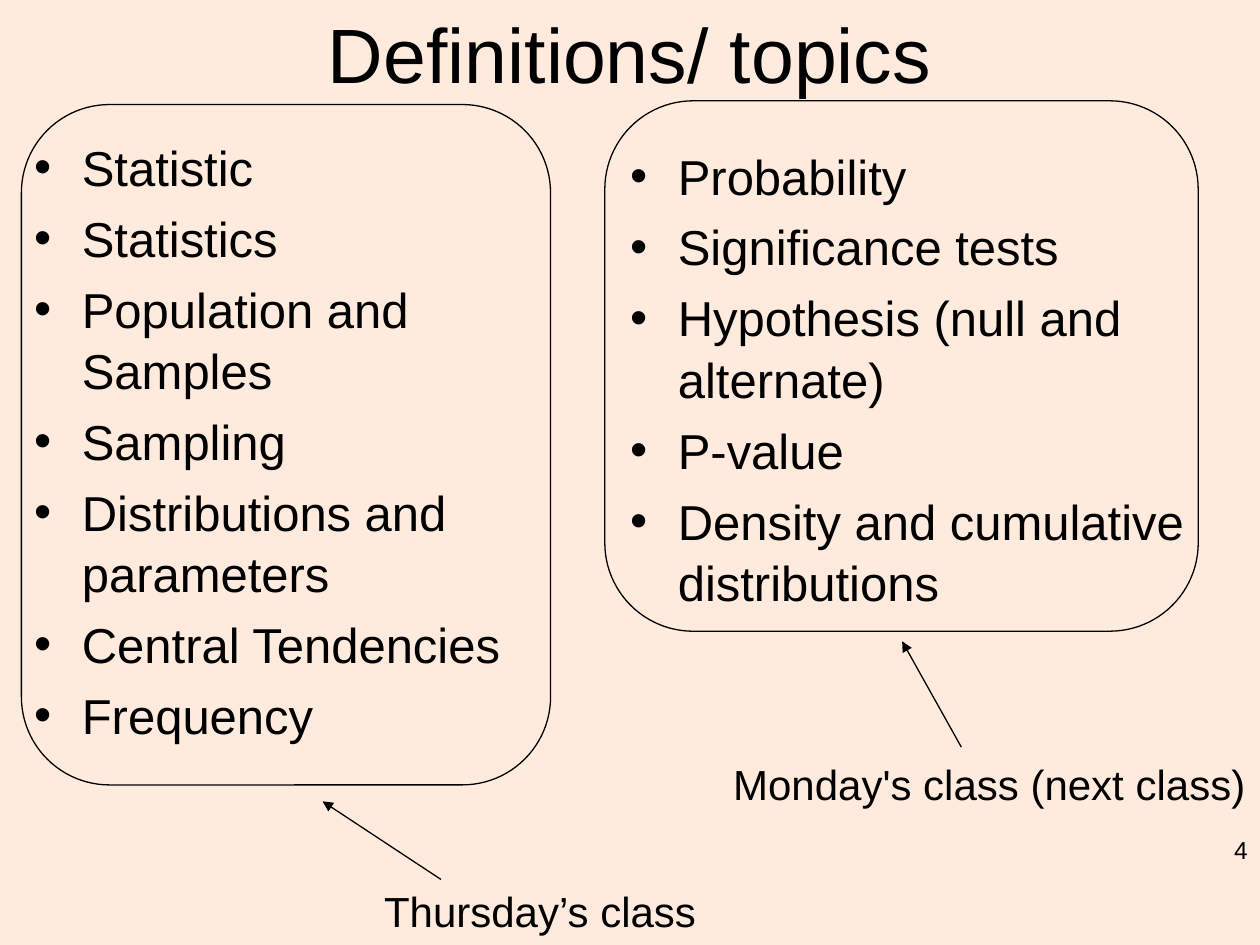
import pptx
import pptx.util
import pptx.dml.color
import pptx.enum.shapes
import pptx.enum.text
import pptx.oxml.ns
import lxml.etree

# Content
TITLE = "Definitions/ topics"
NUMBER = "4"
FONT, INK, PAPER = "Arial", "000000", "FFEBDE"
# Per class: topics, list box, frame, label, label box, arrow (from, to)
CLASSES = [
    (["Statistic", "Statistics", "Population and Samples", "Sampling",
      "Distributions and parameters", "Central Tendencies", "Frequency"],
     (0.17, 1.02, 4.68, 6.33), (0.17, 0.83, 4.2, 5.4),
     "Thursday’s class", (2.95, 6.98, 2.7, 0.5),
     (3.5, 6.98, 2.56, 6.36)),
    (["Probability", "Significance tests", "Hypothesis (null and alternate)",
      "P-value", "Density and cumulative distributions"],
     (4.9, 1.09, 4.68, 5.44), (4.8, 0.8, 4.71, 4.21),
     "Monday's class (next class)", (5.72, 5.97, 4.31, 0.5),
     (7.63, 5.93, 7.16, 5.09)),
]

ALIGN = pptx.enum.text.PP_ALIGN
qn = pptx.oxml.ns.qn


def color(code):
    return pptx.dml.color.RGBColor.from_string(code)


def inches(box):
    return [pptx.util.Inches(v) for v in box]


def place(shape, box):
    shape.left, shape.top, shape.width, shape.height = inches(box)


def style(para, size, align=ALIGN.LEFT):
    para.alignment = align
    for run in para.runs:
        run.font.name = FONT
        run.font.size = pptx.util.Pt(size)
        run.font.color.rgb = color(INK)


def outline(shape):
    shape.line.color.rgb = color(INK)
    shape.line.width = pptx.util.Pt(0.75)


def add_text(slide, text, box, size, align=ALIGN.LEFT, wrap=False):
    frame = slide.shapes.add_textbox(*inches(box)).text_frame
    frame.word_wrap = wrap
    frame.text = text
    style(frame.paragraphs[0], size, align)


def fill_list(holder, topics, box):
    place(holder, box)
    frame = holder.text_frame
    frame.text = "\n".join(topics)
    frame.auto_size = pptx.enum.text.MSO_AUTO_SIZE.NONE
    for i, para in enumerate(frame.paragraphs):
        props = para._p.get_or_add_pPr()
        indent = pptx.util.Inches(0.38)
        props.set("marL", str(indent))
        props.set("indent", str(-indent))
        lxml.etree.SubElement(props, qn("a:buChar")).set("char", "•")
        para.line_spacing = 1.04
        para.space_before = pptx.util.Pt(5.6 if i else 0)
        style(para, 28)


def add_frame(slide, box):
    kind = pptx.enum.shapes.MSO_SHAPE.ROUNDED_RECTANGLE
    shape = slide.shapes.add_shape(kind, *inches(box))
    shape.shadow.inherit = False
    shape.fill.background()
    outline(shape)


def add_arrow(slide, ends):
    kind = pptx.enum.shapes.MSO_CONNECTOR.STRAIGHT
    arrow = slide.shapes.add_connector(kind, *inches(ends))
    outline(arrow)
    tip = lxml.etree.SubElement(arrow.line._get_or_add_ln(), qn("a:tailEnd"))
    tip.set("type", "triangle")
    lxml.etree.SubElement(arrow._element.spPr, qn("a:effectLst"))


def main():
    deck = pptx.Presentation()
    deck.slide_width, deck.slide_height = inches((10, 7.5))
    slide = deck.slides.add_slide(deck.slide_layouts.get_by_name("Two Content"))
    slide.background.fill.solid()
    slide.background.fill.fore_color.rgb = color(PAPER)

    # Title
    title = slide.shapes.title
    place(title, (0.75, 0, 8.5, 0.83))
    title.text_frame.text = TITLE
    title.text_frame.auto_size = pptx.enum.text.MSO_AUTO_SIZE.NONE
    title.text_frame.vertical_anchor = pptx.enum.text.MSO_ANCHOR.MIDDLE
    style(title.text_frame.paragraphs[0], 44, ALIGN.CENTER)

    # Framed topic lists, each with its class label and arrow
    for i, (topics, area, frame, label, spot, ends) in enumerate(CLASSES):
        fill_list(slide.placeholders[i + 1], topics, area)
        add_frame(slide, frame)
        add_text(slide, label, spot, 24)
        add_arrow(slide, ends)

    # Slide number
    add_text(slide, NUMBER, (7.92, 6.58, 2.08, 0.5), 14, ALIGN.RIGHT, True)
    deck.save("out.pptx")


if __name__ == "__main__":
    main()
